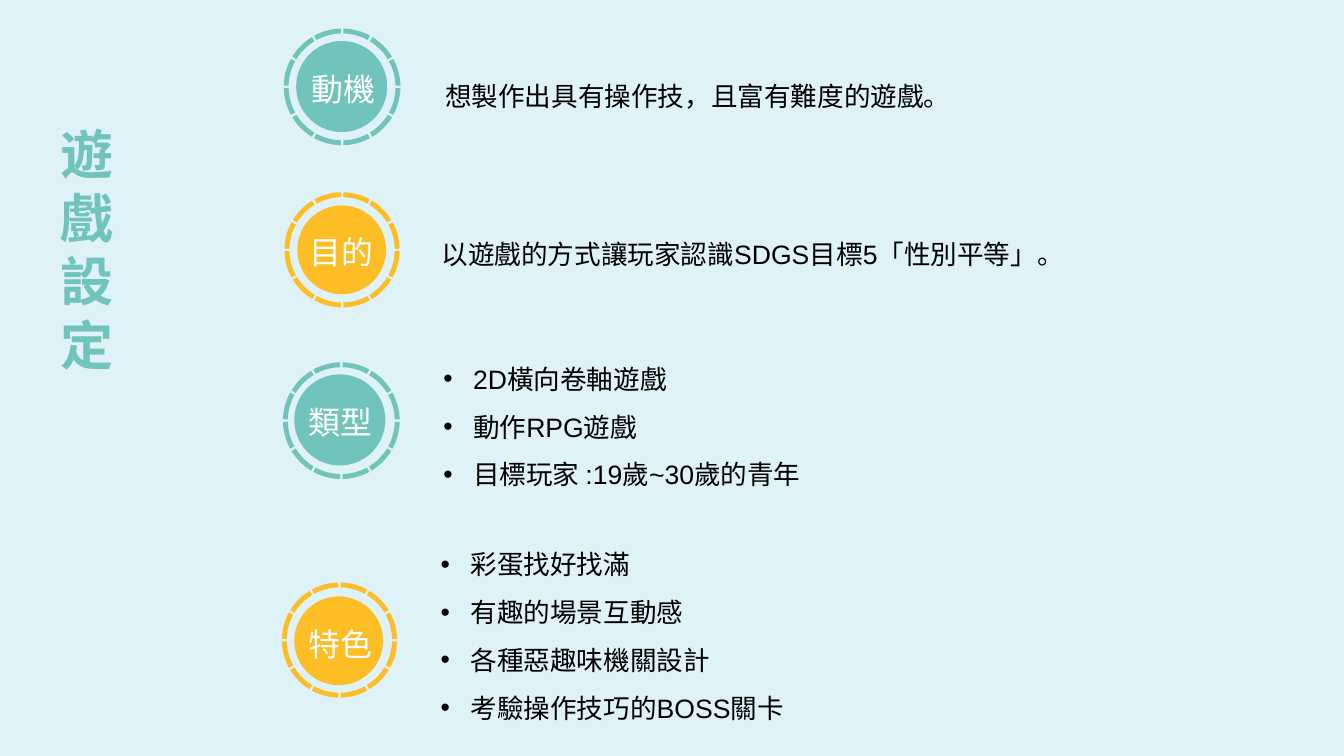
from dataclasses import dataclass
from math import cos, radians, sin

from pptx import Presentation
from pptx.dml.color import RGBColor
from pptx.enum.shapes import MSO_SHAPE
from pptx.enum.text import MSO_ANCHOR, MSO_AUTO_SIZE, PP_ALIGN
from pptx.util import Cm, Pt

COLORS = {"sky": "DFF2F8", "teal": "70C4BC", "amber": "FDBD24", "black": "000000", "white": "FFFFFF"}
FONT = "Arial"
OVAL = MSO_SHAPE.OVAL
TOP, MIDDLE = MSO_ANCHOR.TOP, MSO_ANCHOR.MIDDLE
LEFT, CENTER = PP_ALIGN.LEFT, PP_ALIGN.CENTER
FIXED = MSO_AUTO_SIZE.NONE
DASHES = 12
DASH_STEP = 360 / DASHES
DASH_GAP = 2.6
DASH_WIDTH = 0.13
ARC_STEPS = 8


@dataclass(frozen=True)
class Badge:
    """A dashed ring around a labelled disc, in centimetres."""

    label: str
    color: str
    ring_center: tuple[float, float]
    ring_radius: float
    disc_center: tuple[float, float]
    disc_radius: float
    label_box: tuple[float, float, float, float]


@dataclass(frozen=True)
class Description:
    """The text beside a badge, in centimetres."""

    lines: tuple[str, ...]
    box: tuple[float, float, float, float]


BADGES = (
    Badge("動機", "teal", (9.09, 2.31), 1.55, (9.08, 2.3), 1.21, (7.52, 1.24, 3.2, 1.93)),
    Badge("目的", "amber", (9.09, 6.64), 1.53, (9.08, 6.64), 1.18, (7.82, 5.36, 2.51, 2.36)),
    Badge("類型", "teal", (9.07, 11.18), 1.55, (9.03, 11.16), 1.21, (7.87, 9.91, 2.36, 2.31)),
    Badge("特色", "amber", (9.02, 17.01), 1.53, (9, 17.03), 1.18, (7.92, 15.75, 2.24, 2.41)),
)
SENTENCES = (
    Description(("想製作出具有操作技，且富有難度的遊戲。",), (11.58, 1.57, 18.64, 1.4)),
    Description(("以遊戲的方式讓玩家認識SDGS目標5「性別平等」。",), (11.48, 5.77, 21.01, 1.4)),
)
LISTS = (
    Description(("2D橫向卷軸遊戲", "動作RPG遊戲", "目標玩家 :19歲~30歲的青年"), (11.53, 9.09, 14.38, 3.96)),
    Description(
        ("彩蛋找好找滿", "有趣的場景互動感", "各種惡趣味機關設計", "考驗操作技巧的BOSS關卡"),
        (11.46, 14.02, 16.26, 5.23),
    ),
)
TITLE = Description(tuple("遊戲設定"), (1.35, 3.1, 2.18, 7.09))


def rgb(name: str) -> RGBColor:
    """Look up a named colour."""
    return RGBColor.from_string(COLORS[name])


def place(shape, box: tuple[float, float, float, float]) -> None:
    """Move and size a shape."""
    shape.left, shape.top, shape.width, shape.height = map(Cm, box)


def write(shape, lines, *, size=20, color="black", bold=False, align=LEFT, anchor=TOP,
          spacing=1.5, indent=0.0, side_inset=0.25) -> None:
    """Write formatted paragraphs into a shape."""
    frame = shape.text_frame
    frame.text = "\n".join(lines)
    frame.word_wrap = True
    frame.auto_size = FIXED
    frame.vertical_anchor = anchor
    frame.margin_left = frame.margin_right = Cm(side_inset)
    for paragraph in frame.paragraphs:
        paragraph.alignment = align
        paragraph.line_spacing = spacing
        paragraph.space_before = Pt(0)
        if indent:
            properties = paragraph._p.get_or_add_pPr()
            properties.set("marL", str(Cm(indent)))
            properties.set("indent", str(-Cm(indent)))
        for run in paragraph.runs:
            run.font.name = FONT
            run.font.size = Pt(size)
            run.font.bold = bold
            run.font.color.rgb = rgb(color)


def paint(shape, color: str) -> None:
    """Give a shape a flat fill without outline or shadow."""
    shape.shadow.inherit = False
    shape.fill.solid()
    shape.fill.fore_color.rgb = rgb(color)
    shape.line.fill.background()


def arc(center: tuple[float, float], radius: float, start: float, end: float) -> list[tuple[int, int]]:
    """Return points along a circular arc."""
    angles = [radians(start + (end - start) * step / ARC_STEPS) for step in range(ARC_STEPS + 1)]
    return [(Cm(center[0] + radius * cos(a)), Cm(center[1] + radius * sin(a))) for a in angles]


def draw_ring(slide, badge: Badge) -> None:
    """Draw the dashed ring of a badge as one group."""
    ring = slide.shapes.add_group_shape()
    for number in range(DASHES):
        start = number * DASH_STEP + DASH_GAP / 2
        end = start + DASH_STEP - DASH_GAP
        outer = arc(badge.ring_center, badge.ring_radius, start, end)
        inner = arc(badge.ring_center, badge.ring_radius - DASH_WIDTH, end, start)
        outline = ring.shapes.build_freeform(*outer[0])
        outline.add_line_segments(outer[1:] + inner, close=True)
        paint(outline.convert_to_shape(), badge.color)


def draw_badge(slide, badge: Badge) -> None:
    """Draw the disc, ring and label of a badge."""
    x, y = badge.disc_center
    radius = badge.disc_radius
    disc = slide.shapes.add_shape(OVAL, Cm(x - radius), Cm(y - radius), Cm(2 * radius), Cm(2 * radius))
    paint(disc, badge.color)
    draw_ring(slide, badge)
    label = slide.shapes.add_textbox(*map(Cm, badge.label_box))
    write(label, [badge.label], size=24, color="white", align=CENTER, anchor=MIDDLE,
          spacing=1.3, side_inset=0)


def main() -> None:
    """Build the game settings slide."""
    deck = Presentation()
    deck.slide_width, deck.slide_height = Cm(35.71), Cm(20.09)
    slide = deck.slides.add_slide(deck.slide_layouts.get_by_name("Two Content"))
    slide.background.fill.solid()
    slide.background.fill.fore_color.rgb = rgb("sky")

    heading, *bodies = slide.placeholders
    place(heading, TITLE.box)
    write(heading, TITLE.lines, size=40, color="teal", bold=True, spacing=1.0)
    for body, features in zip(bodies, LISTS):
        place(body, features.box)
        write(body, features.lines, indent=0.79)
    for sentence in SENTENCES:
        write(slide.shapes.add_textbox(*map(Cm, sentence.box)), sentence.lines)
    for badge in BADGES:
        draw_badge(slide, badge)
    deck.save("out.pptx")


if __name__ == "__main__":
    main()
